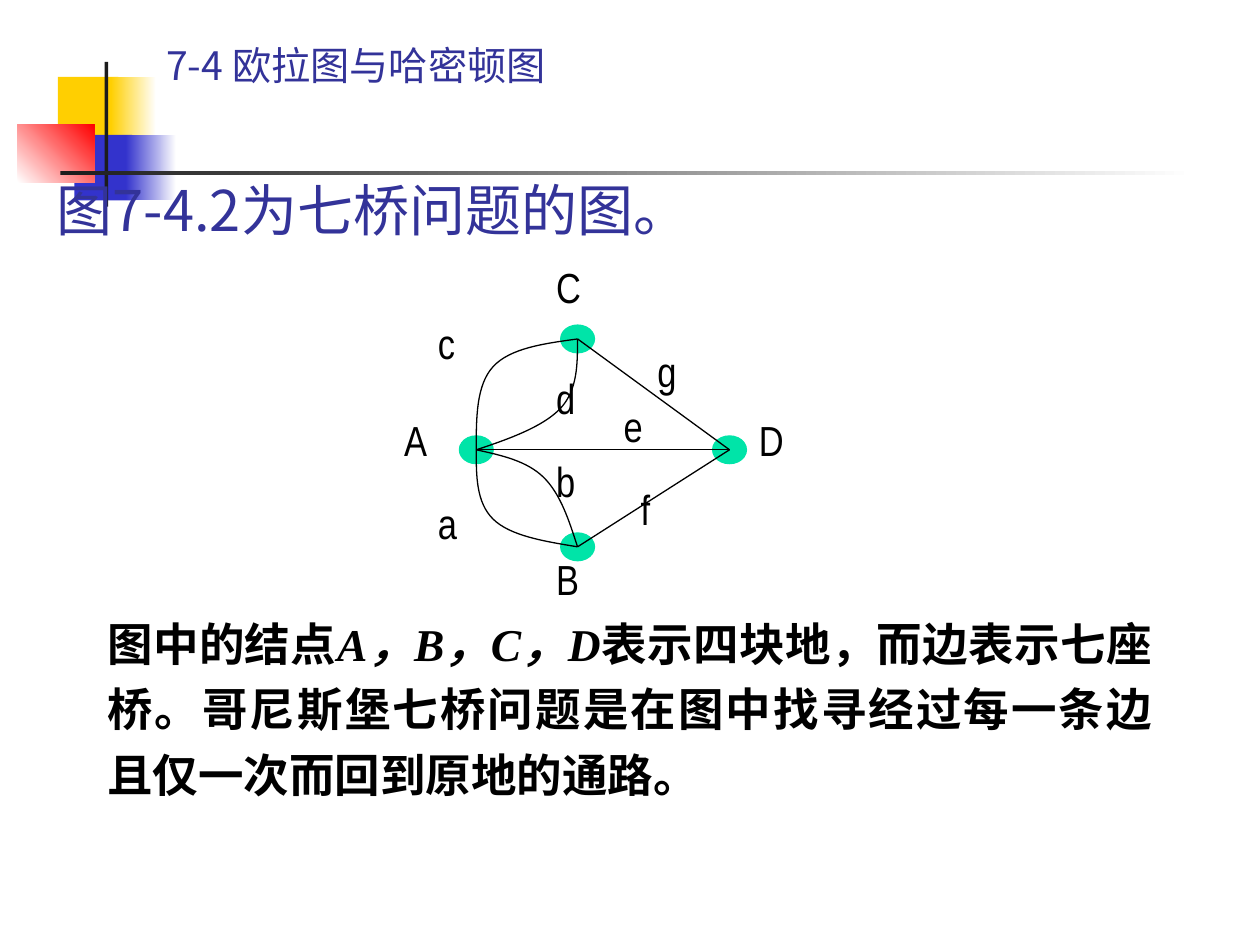
from lxml.etree import SubElement
from pptx import Presentation
from pptx.dml.color import RGBColor
from pptx.enum.shapes import MSO_CONNECTOR, MSO_SHAPE
from pptx.enum.text import MSO_ANCHOR, MSO_AUTO_SIZE, PP_ALIGN
from pptx.oxml.ns import qn
from pptx.util import Inches, Pt

SANS = "Noto Sans CJK SC"
SERIF = "Times New Roman"
NARROW = "Arial Narrow"
BLACK = "000000"
INDIGO = "333399"
GREEN = "00E4A8"


def paint(fill, colours, angle=0):
    if len(colours) == 1:
        fill.solid()
        fill.fore_color.rgb = RGBColor.from_string(colours[0])
        return
    fill.gradient()
    fill.gradient_angle = angle
    for stop, colour in zip(fill.gradient_stops, colours):
        stop.color.rgb = RGBColor.from_string(colour)


def write(paragraph, text, size, font, colour, bold=False, italic=False):
    run = paragraph.add_run()
    run.text = text
    run.font.size = Pt(size)
    run.font.name = font
    run.font.bold = bold
    run.font.italic = italic
    paint(run.font.fill, [colour])
    SubElement(run.font._element, qn("a:ea"), typeface=SANS)


presentation = Presentation()
presentation.slide_width = Inches(10)
presentation.slide_height = Inches(7.5)
column = presentation.slide_width // 100
row = presentation.slide_height // 75
slide = presentation.slides.add_slide(presentation.slide_layouts[1])

decorations = [
    (4.6, 6.1, 4.8, 5.2, ["FFCF01"], 0),
    (8.8, 6.1, 3.6, 5.2, ["FFCF01", "FFFFFF"], 0),
    (5.9, 10.7, 4.6, 5.2, ["3333CC"], 0),
    (10, 10.7, 4, 5.2, ["3333CC", "FFFFFF"], 0),
    (1.4, 9.9, 6.1, 4.6, ["FFFFFF", "FF0000"], 45),
    (8.3, 4.9, 0.3, 11.5, ["1C1C1C"], 0),
    (4.8, 13.6, 90, 0.3, ["1C1C1C", "FFFFFF"], 0),
]
for left, top, width, height, colours, angle in decorations:
    shape = slide.shapes.add_shape(
        MSO_SHAPE.RECTANGLE, int(left * column), int(top * row), int(width * column), int(height * row)
    )
    shape.shadow.inherit = False
    shape.line.fill.background()
    paint(shape.fill, colours, angle)

title = slide.shapes.title
body = slide.placeholders[1]
frames = [
    (title, 3.5, 11.5, 85, 8.3, MSO_ANCHOR.BOTTOM),
    (body, 7.5, 47.5, 85, 22.5, MSO_ANCHOR.TOP),
]
for placeholder, left, top, width, height, anchor in frames:
    placeholder.left, placeholder.top = int(left * column), int(top * row)
    placeholder.width, placeholder.height = int(width * column), int(height * row)
    placeholder.text_frame.auto_size = MSO_AUTO_SIZE.NONE
    placeholder.text_frame.vertical_anchor = anchor
    placeholder.text_frame.paragraphs[0].alignment = PP_ALIGN.JUSTIFY
    slide.shapes._spTree.append(placeholder._element)

write(title.text_frame.paragraphs[0], "图7-4.2为七桥问题的图。", 32, SANS, INDIGO)

paragraph = body.text_frame.paragraphs[0]
paragraph.line_spacing = 1.2
paragraph.space_before = Pt(0)
properties = paragraph._p.get_or_add_pPr()
properties.set("marL", "0")
properties.set("indent", "0")
SubElement(properties, qn("a:buNone"))
write(paragraph, "图中的结点", 26, SERIF, BLACK, bold=True)
write(paragraph, "A，B，C，D", 26, SERIF, BLACK, bold=True, italic=True)
write(
    paragraph,
    "表示四块地，而边表示七座桥。哥尼斯堡七桥问题是在图中找寻经过每一条边且仅一次而回到原地的通路。",
    26, SERIF, BLACK, bold=True,
)

graph = slide.shapes.add_group_shape()
graph_left, graph_top = Inches(3.11), Inches(2.03)
step_x, step_y = Inches(2.01) // 15, Inches(0.11)
nodes = {"A": (5, 14), "C": (11, 6), "B": (11, 21), "D": (20, 14)}
centres = {name: (graph_left + x * step_x, graph_top + y * step_y) for name, (x, y) in nodes.items()}

for x, y in centres.values():
    node = graph.shapes.add_shape(MSO_SHAPE.OVAL, x - step_x, y - step_y, 2 * step_x, 2 * step_y)
    node.shadow.inherit = False
    paint(node.fill, [GREEN])
    paint(node.line.fill, [GREEN])
    node.line.width = Pt(0.75)

for start, end in ["BD", "CD", "AD"]:
    edge = graph.shapes.add_connector(MSO_CONNECTOR.STRAIGHT, *centres[start], *centres[end])
    paint(edge.line.fill, [BLACK])
    edge.line.width = Pt(0.75)
    SubElement(edge._element.spPr, qn("a:effectLst"))

curves = [
    [(5, 11.67), (5, 9.33), (6, 8), (7, 6.67), (9, 6.33), nodes["C"]],
    [(5, 15.9), (5, 17.8), (6, 19), (7, 20.2), (9, 20.6), nodes["B"]],
    [(7, 13.2), (9, 12.3), (10, 11), (11, 9.67), (11, 7.83), nodes["C"]],
    [(6.5, 14.4), (8, 14.8), (9, 16), (10, 17.2), (10.5, 19.1), nodes["B"]],
]
for controls in curves:
    builder = graph.shapes.build_freeform(*centres["A"])
    builder.add_line_segments(
        [(graph_left + int(x * step_x), graph_top + int(y * step_y)) for x, y in controls], close=False
    )
    curve = builder.convert_to_shape()
    curve.shadow.inherit = False
    curve.fill.background()
    paint(curve.line.fill, [BLACK])
    curve.line.width = Pt(0.75)
    outline = curve._element.find(".//" + qn("a:moveTo")).getparent()
    segments = outline.findall(qn("a:lnTo"))
    for first in range(0, len(segments), 3):
        bezier = SubElement(outline, qn("a:cubicBezTo"))
        for segment in segments[first:first + 3]:
            bezier.append(segment[0])
            outline.remove(segment)

labels = [
    ("A", 0, 11), ("D", 21, 11), ("c", 2, 4), ("d", 9, 8), ("a", 2, 17), ("b", 9, 14),
    ("f", 14, 16), ("C", 9, 0), ("g", 15, 6), ("B", 9, 21), ("e", 13, 10),
]
for text, x, y in labels:
    label = graph.shapes.add_textbox(graph_left + x * step_x, graph_top + y * step_y, 8 * column, 5 * row)
    label.text_frame.word_wrap = True
    label.text_frame.auto_size = MSO_AUTO_SIZE.SHAPE_TO_FIT_TEXT
    paragraph = label.text_frame.paragraphs[0]
    paragraph.space_before = Pt(15)
    write(paragraph, text, 24, NARROW, BLACK)

header = slide.shapes.add_textbox(int(12.2 * column), int(2.8 * row), 74 * column, int(4.7 * row))
header.text_frame.word_wrap = True
header.text_frame.vertical_anchor = MSO_ANCHOR.BOTTOM
paragraph = header.text_frame.paragraphs[0]
paragraph.line_spacing = 0.8
write(paragraph, "7-4 欧拉图与哈密顿图", 22.4, SANS, INDIGO)

presentation.save("out.pptx")
